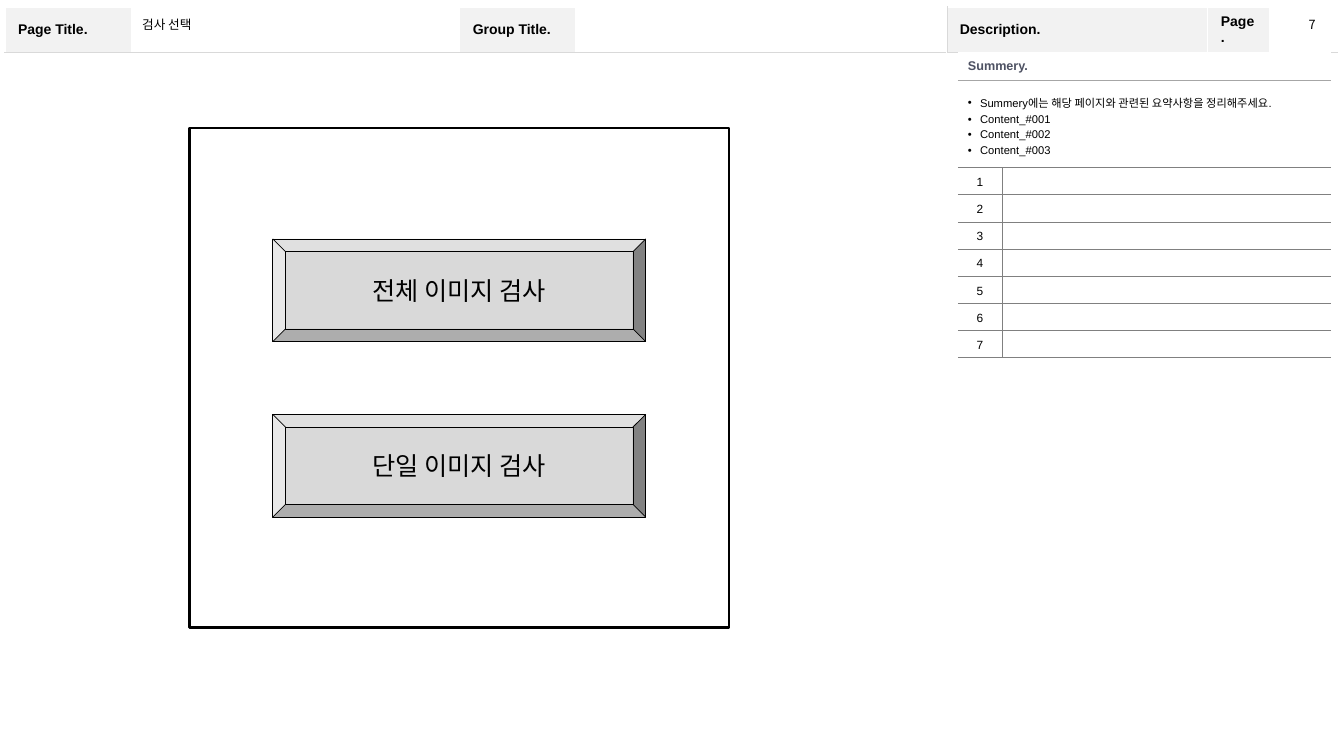
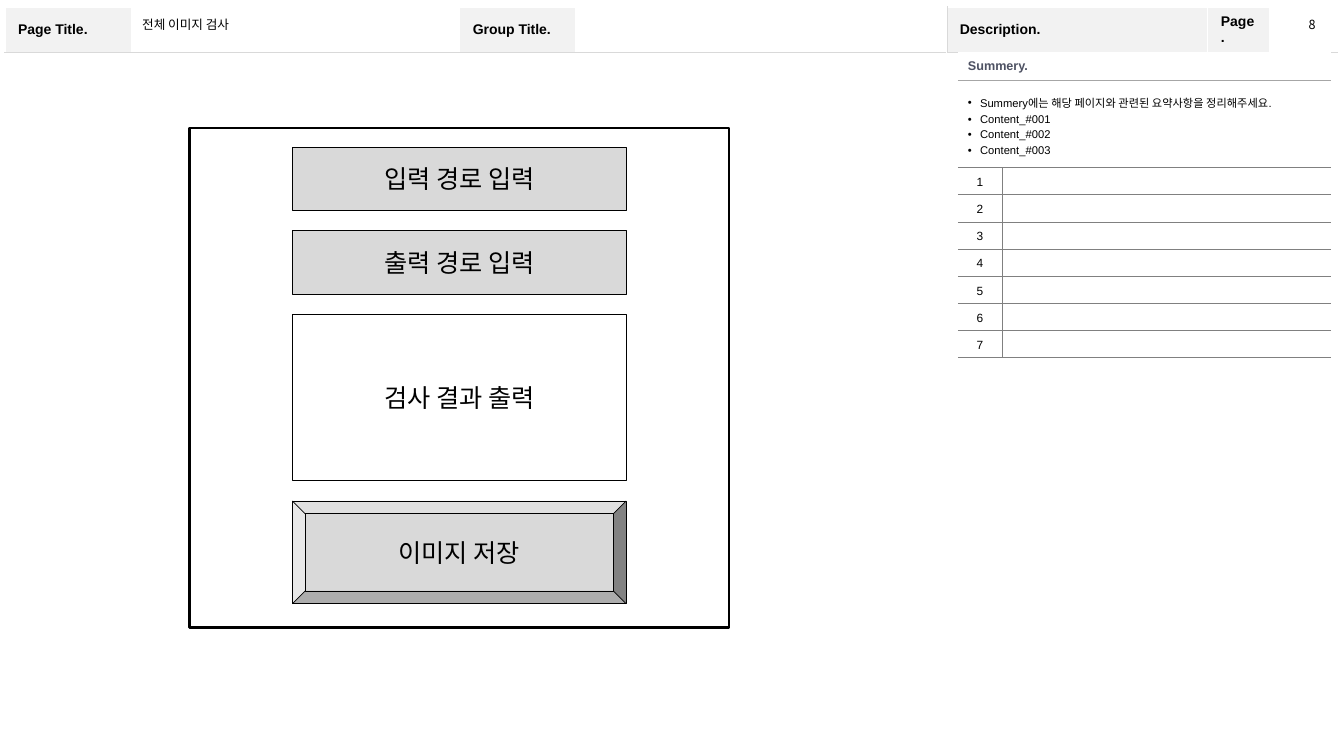
from dataclasses import dataclass

from lxml.etree import SubElement, Element
from pptx import Presentation
from pptx.dml.color import RGBColor
from pptx.enum.shapes import MSO_SHAPE as Preset
from pptx.enum.text import MSO_ANCHOR as Anchor, MSO_AUTO_SIZE as AutoSize, PP_ALIGN as Align
from pptx.oxml.ns import qn
from pptx.util import Inches, Pt

HEADERS = {0: "Page Title.", 2: "Group Title.", 4: "Description.", 5: "Page."}
FRAME_COLUMNS = [1.26, 3.25, 1.15, 3.68, 2.59, 0.61, 0.68]
FRAME_ROWS = [0.44, 6.67]
DESCRIPTION_COLUMN = 4

SUMMARY_TITLE = "Summery."
SUMMARY_ITEMS = [
    "Summery에는 해당 페이지와 관련된 요약사항을 정리해주세요.",
    "Content_#001",
    "Content_#002",
    "Content_#003",
]
SUMMARY_COLUMNS = [0.44, 3.26]
NOTE_COUNT = 7
SUMMARY_ROWS = [0.28, 0.86] + [0.27] * NOTE_COUNT

PANEL = (1.88, 1.27, 5.35, 4.96)
SCREENS = [
    {
        "title": "검사 선택", "number": "7", "top": 2.37, "width": 3.7, "gap": 0.72,
        "controls": [("button", "전체 이미지 검사", 1.02), ("button", "단일 이미지 검사", 1.02)],
    },
    {
        "title": "전체 이미지 검사", "number": "8", "top": 1.46, "width": 3.31, "gap": 0.2,
        "controls": [
            ("field", "입력 경로 입력", 0.63),
            ("field", "출력 경로 입력", 0.63),
            ("output", "검사 결과 출력", 1.65),
            ("button", "이미지 저장", 1.02),
        ],
    },
]


@dataclass(frozen=True)
class Theme:
    black: str = "000000"
    white: str = "FFFFFF"
    band: str = "F2F2F2"
    control: str = "D9D9D9"
    frame_line: str = "D9D9D9"
    heading: str = "4E5263"
    heading_line: str = "A6A6A6"
    note_line: str = "808080"
    latin: str = "Arial"
    korean: str = "Noto Sans CJK KR"
    header_size: float = 10
    title_size: float = 9
    item_size: float = 8
    note_size: float = 8.5
    control_size: float = 18


THEME = Theme()
CONTROL_KINDS = {
    "button": (Preset.BEVEL, THEME.control),
    "field": (Preset.RECTANGLE, THEME.control),
    "output": (Preset.RECTANGLE, THEME.white),
}


def apply(target, formats):
    for name, value in formats.items():
        setattr(target, name, value)


def write(para, text, size, color=THEME.black, bold=False, font=THEME.latin, **formats):
    apply(para, formats)
    span = para.add_run()
    span.text = text
    apply(span.font, {"size": Pt(size), "bold": bold, "name": font})
    span.font.color.rgb = RGBColor.from_string(color)
    SubElement(span.font._element, qn("a:ea"), typeface=THEME.korean)


def add_bullet(para):
    properties = para._p.get_or_add_pPr()
    indent = Inches(0.12)
    properties.set("marL", str(indent))
    properties.set("indent", str(-indent))
    SubElement(properties, qn("a:buFont"), typeface=THEME.latin)
    SubElement(properties, qn("a:buChar"), char="•")


def set_borders(cell, **borders):
    properties = cell._tc.get_or_add_tcPr()
    for index, side in enumerate("LRTB"):
        color, width = borders.get(side, (None, 0))
        line = Element(qn("a:ln" + side), w=str(Pt(width)))
        if color:
            fill = SubElement(line, qn("a:solidFill"))
            SubElement(fill, qn("a:srgbClr"), val=color)
        else:
            SubElement(line, qn("a:noFill"))
        properties.insert(index, line)


def fill_cell(cell, color=None):
    if color:
        cell.fill.solid()
        cell.fill.fore_color.rgb = RGBColor.from_string(color)
    else:
        cell.fill.background()


def add_grid(page, left, top, columns, rows):
    box = page.shapes.add_table(
        len(rows), len(columns), Inches(left), Inches(top), Inches(sum(columns)), Inches(sum(rows)))
    grid = box.table
    apply(grid, {"first_row": False, "horz_banding": False})
    for column, width in zip(grid.columns, columns):
        column.width = Inches(width)
    for row, height in zip(grid.rows, rows):
        row.height = Inches(height)
    for cell in grid.iter_cells():
        cell.vertical_anchor = Anchor.MIDDLE
        fill_cell(cell)
    return box


def add_frame(layout, page):
    box = add_grid(page, 0.05, 0.07, FRAME_COLUMNS, FRAME_ROWS)
    grid = box.table
    gray, white = (THEME.frame_line, 0.25), (THEME.white, 1)
    for row in range(len(FRAME_ROWS)):
        for column in range(len(FRAME_COLUMNS)):
            set_borders(
                grid.cell(row, column),
                L=gray if column == DESCRIPTION_COLUMN else white,
                R=gray if column == DESCRIPTION_COLUMN - 1 else white,
                T=gray if row == 1 else white,
                B=gray if row == 0 else white)
    for column, text in HEADERS.items():
        cell = grid.cell(0, column)
        apply(cell, {"margin_left": Inches(0.13), "margin_right": Inches(0.13),
                     "margin_top": Inches(0.07), "margin_bottom": Inches(0.07)})
        fill_cell(cell, THEME.band)
        write(cell.text_frame.paragraphs[0], text, THEME.header_size, bold=True)
    grid.cell(1, 0).merge(grid.cell(1, DESCRIPTION_COLUMN - 1))
    grid.cell(1, DESCRIPTION_COLUMN).merge(grid.cell(1, len(FRAME_COLUMNS) - 1))
    box.element.nvGraphicFramePr.cNvPr.set("id", "99")
    layout.shapes.element.append(box.element)


def add_summary(page):
    grid = add_grid(page, 9.5, 0.52, SUMMARY_COLUMNS, SUMMARY_ROWS).table
    heading_line, note_line = (THEME.heading_line, 0.25), (THEME.note_line, 0.25)
    for column in range(len(SUMMARY_COLUMNS)):
        set_borders(grid.cell(0, column), B=heading_line)
        set_borders(grid.cell(1, column), T=heading_line, B=note_line)
    for row in (0, 1):
        grid.cell(row, 0).merge(grid.cell(row, 1))

    heading, items = grid.cell(0, 0), grid.cell(1, 0).text_frame
    fill_cell(heading, THEME.white)
    write(heading.text_frame.paragraphs[0], SUMMARY_TITLE, THEME.title_size, THEME.heading, True)
    for index, text in enumerate(SUMMARY_ITEMS):
        para = items.add_paragraph() if index else items.paragraphs[0]
        write(para, text, THEME.item_size, alignment=Align.JUSTIFY, line_spacing=1.2)
        add_bullet(para)

    for number in range(1, NOTE_COUNT + 1):
        label, note = grid.cell(number + 1, 0), grid.cell(number + 1, 1)
        set_borders(label, R=note_line, T=note_line, B=note_line)
        set_borders(note, L=note_line, T=note_line, B=note_line)
        for cell in (label, note):
            apply(cell, {"margin_top": Inches(0.03), "margin_bottom": Inches(0.03)})
        write(label.text_frame.paragraphs[0], str(number), THEME.note_size,
              alignment=Align.CENTER, line_spacing=1.2)
        SubElement(note.text_frame.paragraphs[0]._p, qn("a:endParaRPr"),
                   sz=str(int(THEME.note_size * 100)))


def add_title(page, text):
    title = page.shapes.title
    apply(title, {"left": Inches(1.31), "top": Inches(0.12),
                  "width": Inches(3.24), "height": Inches(0.24)})
    apply(title.text_frame, {"vertical_anchor": Anchor.MIDDLE, "auto_size": AutoSize.NONE})
    write(title.text_frame.paragraphs[0], text, THEME.title_size, alignment=Align.LEFT)


def add_number(page, text):
    box = page.shapes.add_textbox(Inches(12.88), Inches(0.12), Inches(0.27), Inches(0.25))
    apply(box.text_frame, {"word_wrap": False, "auto_size": AutoSize.SHAPE_TO_FIT_TEXT})
    write(box.text_frame.paragraphs[0], text, THEME.title_size, font=THEME.korean)


def add_box(page, preset, place, color, line_width):
    box = page.shapes.add_shape(preset, *map(Inches, place))
    box.shadow.inherit = False
    box.fill.solid()
    box.fill.fore_color.rgb = RGBColor.from_string(color)
    box.line.color.rgb = RGBColor.from_string(THEME.black)
    box.line.width = Pt(line_width)
    return box


def add_screen(page, screen):
    add_box(page, Preset.RECTANGLE, PANEL, THEME.white, 2)
    width, top = screen["width"], screen["top"]
    left = PANEL[0] + (PANEL[2] - width) / 2
    for kind, text, height in screen["controls"]:
        preset, color = CONTROL_KINDS[kind]
        box = add_box(page, preset, (left, top, width, height), color, 0.5)
        box.text_frame.vertical_anchor = Anchor.MIDDLE
        write(box.text_frame.paragraphs[0], text, THEME.control_size,
              font=THEME.korean, alignment=Align.CENTER)
        top += height + screen["gap"]


deck = Presentation()
apply(deck, {"slide_width": Inches(13.33), "slide_height": Inches(7.5)})
title_only = deck.slide_layouts[5]
pages = [deck.slides.add_slide(title_only) for screen in SCREENS]
add_frame(title_only, pages[0])
for page, screen in zip(pages, SCREENS):
    add_title(page, screen["title"])
    add_summary(page)
    add_number(page, screen["number"])
    add_screen(page, screen)
deck.save("out.pptx")
